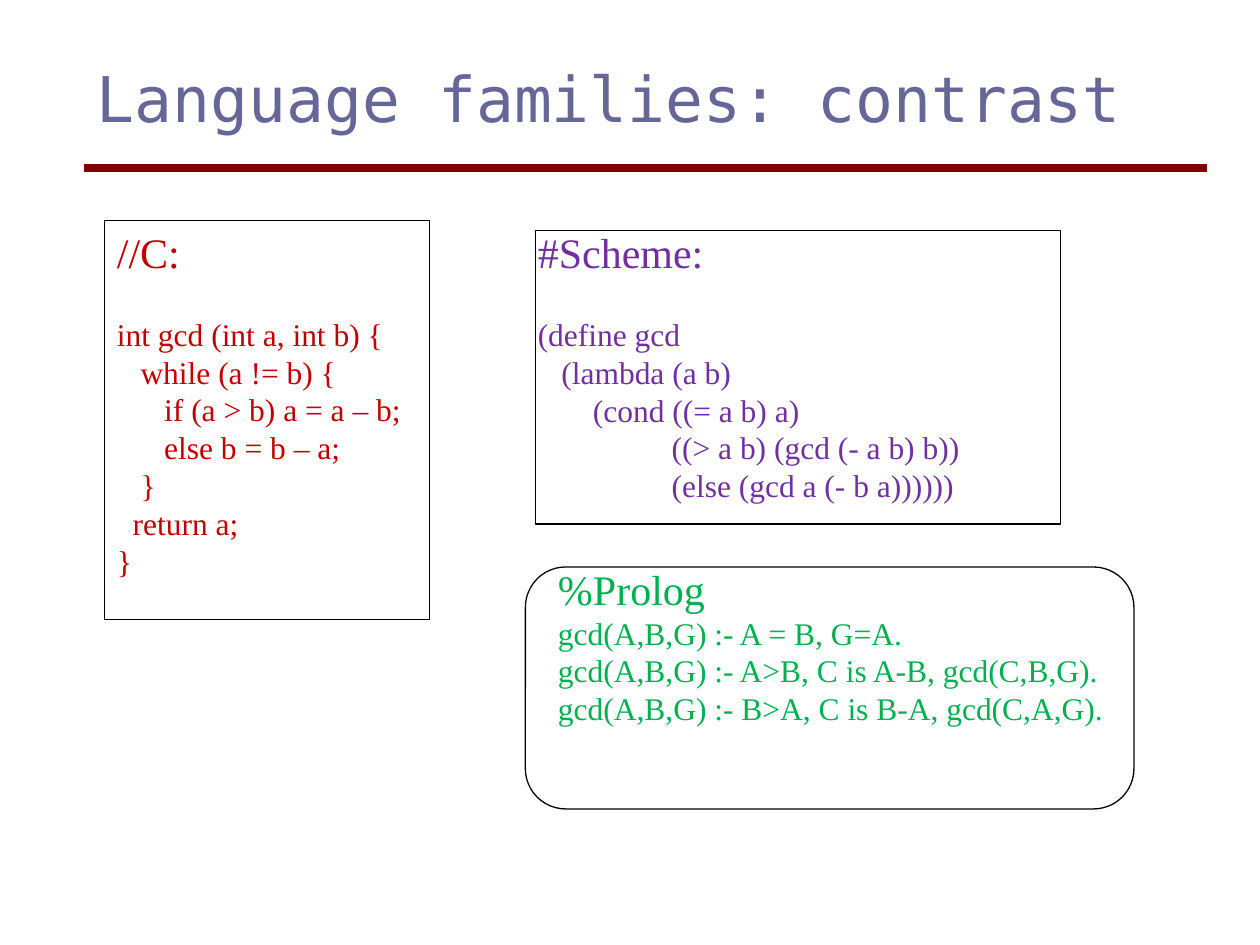
from lxml import etree
from pptx import Presentation
from pptx.dml.color import RGBColor
from pptx.enum.shapes import MSO_CONNECTOR, MSO_SHAPE
from pptx.oxml.ns import qn
from pptx.util import Inches, Pt

STRAIGHT = MSO_CONNECTOR.STRAIGHT
RECT, ROUNDED = MSO_SHAPE.RECTANGLE, MSO_SHAPE.ROUNDED_RECTANGLE

THEME = {
    "title": "666699", "rule": "800000", "outline": "000000",
    "c": "C00000", "scheme": "7030A0", "prolog": "00B050",
    "title_font": "DejaVu Sans Mono", "code_font": "Times New Roman",
    "title_size": 36, "head_size": 24, "code_size": 18,
    "leading": 1.2, "outline_width": 0.75, "rule_width": 4.5,
}
INDENT = 0.0625  # one column of code indentation, in inches

TITLE = "Language families: contrast"
TITLE_BOX = (0.67, 0.42, 8.92, 1.25)

# Rules: start, end, colour, width
RULES = [
    ((0.67, 1.67), (0.67, 1.67), "outline", "outline_width"),
    ((0.67, 1.33), (9.58, 1.33), "rule", "rule_width"),
]

# Each panel: heading, code lines as (indent columns, text), and its frame
PANELS = [
    {"head": "//C:", "color": "c", "gap": True,
     "text_box": (0.83, 1.75, 2.5, 3.33),
     "frame": (RECT, 0.83, 1.75, 2.58, 3.17),
     "code": [(0, "int gcd (int a, int b) {"),
              (3, "while (a != b) {"),
              (6, "if (a > b) a = a – b;"),
              (6, "else b = b – a;"),
              (3, "}"),
              (2, "return a;"),
              (0, "}")]},
    {"head": "#Scheme:", "color": "scheme", "gap": True,
     "text_box": (4.17, 1.75, 4.33, 2.32),
     "frame": (RECT, 4.25, 1.83, 4.17, 2.33),
     "code": [(0, "(define gcd"),
              (3, "(lambda (a b)"),
              (7, "(cond ((= a b) a)"),
              (17, "((> a b) (gcd (- a b) b))"),
              (17, "(else (gcd a (- b a))))))")]},
    {"head": "%Prolog", "color": "prolog", "gap": False,
     "text_box": (4.33, 4.42, 4.75, 1.41),
     "frame": (ROUNDED, 4.17, 4.5, 4.83, 1.92),
     "code": [(0, "gcd(A,B,G) :- A = B, G=A."),
              (0, "gcd(A,B,G) :- A>B, C is A-B, gcd(C,B,G)."),
              (0, "gcd(A,B,G) :- B>A, C is B-A, gcd(C,A,G).")]},
]


def rgb(name):
    return RGBColor.from_string(THEME[name])


def add_box(s, box):
    tf = s.shapes.add_textbox(*map(Inches, box)).text_frame
    tf.word_wrap = True
    return tf


def add_text(tf, text, *, color, size, font="code_font", indent=0, before=0):
    """Write one paragraph, reusing the first one while it is empty."""
    p = tf.paragraphs[0]
    if p.runs:
        p = tf.add_paragraph()
    p.line_spacing = Pt(THEME[size] * THEME["leading"])
    p.space_before = Pt(before)
    if indent:
        p._p.get_or_add_pPr().set("marL", str(Inches(indent * INDENT)))
    r = p.add_run()
    r.text = text
    r.font.name = THEME[font]
    r.font.size = Pt(THEME[size])
    r.font.color.rgb = rgb(color)


def add_rule(s, start, end, color, width):
    line = s.shapes.add_connector(STRAIGHT, *map(Inches, start + end))
    line.line.color.rgb = rgb(color)
    line.line.width = Pt(THEME[width])
    etree.SubElement(line._element.spPr, qn("a:effectLst"))


def add_frame(s, kind, *box):
    sp = s.shapes.add_shape(kind, *map(Inches, box))
    sp.shadow.inherit = False
    sp.fill.background()
    sp.line.color.rgb = rgb("outline")
    sp.line.width = Pt(THEME["outline_width"])


def add_panel(s, panel):
    tf = add_box(s, panel["text_box"])
    color = panel["color"]
    add_text(tf, panel["head"], color=color, size="head_size")
    blank_line = THEME["code_size"] * THEME["leading"]
    for i, (indent, text) in enumerate(panel["code"]):
        add_text(tf, text, color=color, size="code_size", indent=indent,
                 before=blank_line if panel["gap"] and i == 0 else 0)
    add_frame(s, *panel["frame"])


def main():
    prs = Presentation()
    prs.slide_width, prs.slide_height = Inches(10), Inches(7.5)
    s = prs.slides.add_slide(prs.slide_layouts[6])

    # Header
    for rule in RULES:
        add_rule(s, *rule)
    add_text(add_box(s, TITLE_BOX), TITLE, color="title", size="title_size",
             font="title_font")

    # Code panels
    for panel in PANELS:
        add_panel(s, panel)

    prs.save("out.pptx")


if __name__ == "__main__":
    main()
